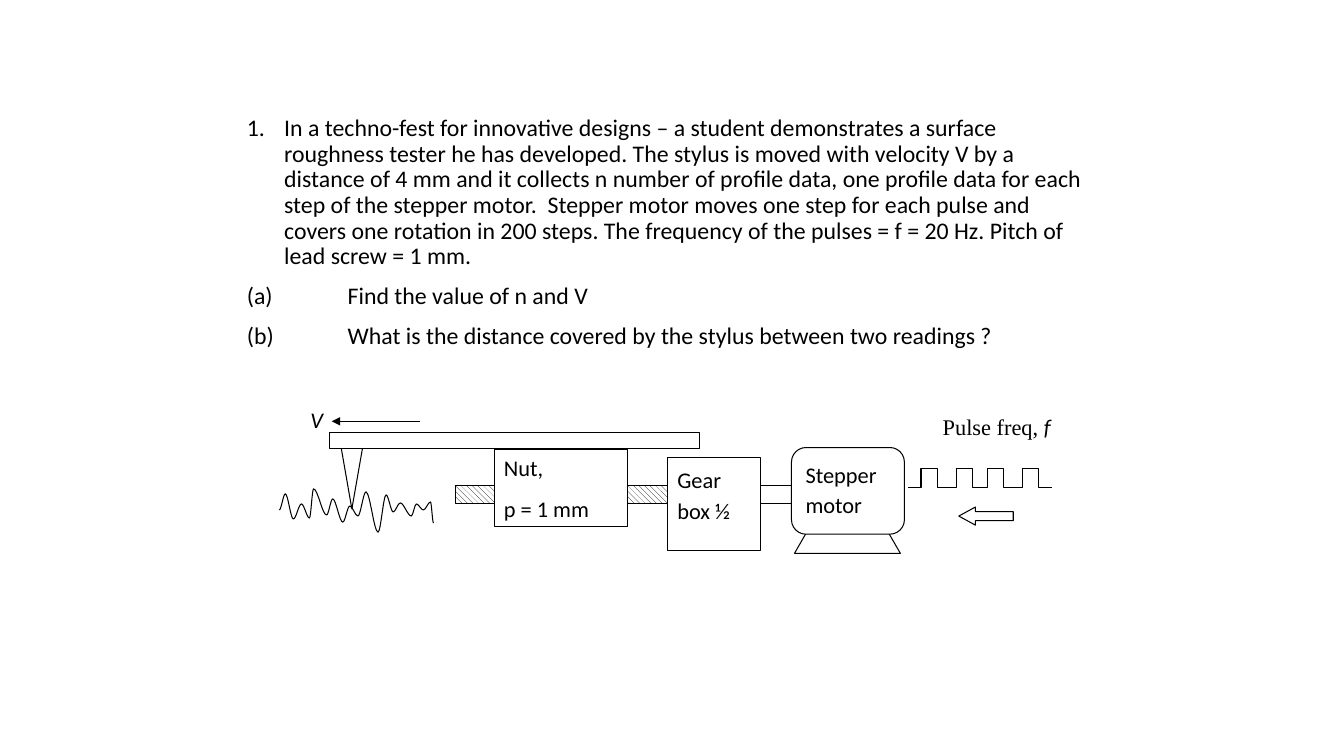
from pptx import Presentation
from pptx.dml.color import RGBColor
from pptx.enum.dml import MSO_PATTERN
from pptx.enum.shapes import MSO_CONNECTOR, MSO_SHAPE
from pptx.enum.text import MSO_ANCHOR, PP_ALIGN
from pptx.oxml.ns import qn
from pptx.util import Inches, Pt
from lxml.etree import SubElement

BLACK = RGBColor(0, 0, 0)
WHITE = RGBColor(255, 255, 255)

QUESTION = (
    "1.\tIn a techno-fest for innovative designs – a student demonstrates a surface "
    "roughness tester he has developed. The stylus is moved with velocity V by a "
    "distance of 4 mm and it collects n number of profile data, one profile data for "
    "each step of the stepper motor.  Stepper motor moves one step for each pulse and "
    "covers one rotation in 200 steps. The frequency of the pulses = f = 20 Hz. "
    "Pitch of lead screw = 1 mm."
)
PARTS = [
    "(a)\tFind the value of n and V",
    "(b)\tWhat is the distance covered by the stylus between two readings ?",
]
PROFILE = [
    (0, 1.07), (0.06, 0.91), (0.14, 1.16), (0.22, 1.01), (0.3, 1.15), (0.34, 0.86),
    (0.47, 1.12), (0.53, 0.96), (0.63, 1.19), (0.7, 1.03), (0.78, 1.13), (0.86, 0.89),
    (0.98, 1.29), (1.06, 0.92), (1.13, 1.09), (1.2, 1), (1.31, 1.13), (1.36, 1.01),
    (1.43, 1.07), (1.5, 0.99), (1.53, 1.2),
]
PULSE_STARTS = [6.24, 6.59, 6.9, 7.25]


def add_run(p, text, size, font="Calibri", italic=False):
    r = p.add_run()
    r.text = text
    r.font.size = Pt(size)
    r.font.name = font
    r.font.italic = italic
    r.font.color.rgb = BLACK


def outline(sp):
    sp.line.color.rgb = BLACK
    sp.line.width = Pt(0.75)


def add_box(shapes, kind, left, top, width, height, lined=True):
    sp = shapes.add_shape(kind, Inches(left), Inches(top), Inches(width), Inches(height))
    sp.shadow.inherit = False
    sp.fill.solid()
    sp.fill.fore_color.rgb = WHITE
    if lined:
        outline(sp)
    else:
        sp.line.fill.background()
    return sp


def add_label(sp, paragraphs, spacing=1.15, inset=True, align=PP_ALIGN.LEFT):
    tf = sp.text_frame
    tf.word_wrap = True
    tf.vertical_anchor = MSO_ANCHOR.TOP
    if not inset:
        tf.margin_left = tf.margin_right = tf.margin_top = tf.margin_bottom = 0
    for i, runs in enumerate(paragraphs):
        p = tf.add_paragraph() if i else tf.paragraphs[0]
        p.alignment = align
        p.line_spacing = spacing
        p.space_after = Pt(10)
        for text, font, italic in runs:
            add_run(p, text, 16, font, italic)


def add_line(shapes, kind, x1, y1, x2, y2):
    line = shapes.add_connector(kind, Inches(x1), Inches(y1), Inches(x2), Inches(y2))
    outline(line)
    SubElement(line._element.spPr, qn("a:effectLst"))
    return line


def add_outline(shapes, points, close):
    pts = [(Inches(x), Inches(y)) for x, y in points]
    builder = shapes.build_freeform(*pts[0])
    builder.add_line_segments(pts[1:], close=close)
    sp = builder.convert_to_shape()
    sp.shadow.inherit = False
    outline(sp)
    return sp


def add_profile(shapes, x, y):
    knots = [(x + dx, y + dy) for dx, dy in PROFILE]
    points = knots[:1]
    for (x1, y1), (x2, y2) in zip(knots, knots[1:]):
        third = (x2 - x1) / 3
        points += [(x1 + third, y1), (x2 - third, y2), (x2, y2)]
    sp = add_outline(shapes, points, False)
    sp.fill.background()
    segments = list(sp._element.spPr.iter(qn("a:lnTo")))
    for i in range(0, len(segments), 3):
        curve = segments[i]
        curve.tag = qn("a:cubicBezTo")
        for extra in segments[i + 1:i + 3]:
            curve.append(extra[0])
            extra.getparent().remove(extra)


def add_pulses(shapes, x, y):
    low, high = y + 0.85, y + 0.66
    for start in PULSE_STARTS:
        rise, fall = x + start, x + start + 0.16
        add_line(shapes, MSO_CONNECTOR.ELBOW, rise, low, rise + 0.25, high)
        add_line(shapes, MSO_CONNECTOR.ELBOW, fall, high, fall + 0.25, low)
    arrow = add_box(shapes, MSO_SHAPE.LEFT_ARROW, x + 6.74, y + 1.04, 0.54, 0.18)
    arrow.adjustments[1] = 0.918
    label = add_box(shapes, MSO_SHAPE.RECTANGLE, x + 6.58, y + 0.07, 1.15, 0.46, False)
    add_label(label, [[("Pulse freq, ", "Times New Roman", False), ("f", "Calibri", True)]],
              inset=False, align=PP_ALIGN.JUSTIFY)


def add_drive(shapes, x, y):
    screw = add_box(shapes, MSO_SHAPE.RECTANGLE, x + 1.75, y + 0.83, 3.34, 0.18)
    screw.fill.patterned()
    screw.fill.pattern = MSO_PATTERN.WIDE_DOWNWARD_DIAGONAL
    screw.fill.fore_color.rgb = BLACK
    screw.fill.back_color.rgb = WHITE
    add_box(shapes, MSO_SHAPE.RECTANGLE, x + 4.05, y + 0.83, 1.14, 0.18)
    gear = add_box(shapes, MSO_SHAPE.RECTANGLE, x + 3.85, y + 0.55, 0.92, 0.92)
    add_label(gear, [[("Gear box ½", "Calibri", False)]])
    base = [(5.11, 1.5), (5.26, 1.24), (6.01, 1.24), (6.16, 1.5)]
    stand = add_outline(shapes, [(x + dx, y + dy) for dx, dy in base], True)
    stand.fill.solid()
    stand.fill.fore_color.rgb = WHITE
    motor = add_box(shapes, MSO_SHAPE.ROUNDED_RECTANGLE, x + 5.08, y + 0.45, 1.12, 0.86)
    add_label(motor, [[("Stepper motor", "Calibri", False)]])


def add_stylus(shapes, x, y):
    label = add_box(shapes, MSO_SHAPE.RECTANGLE, x + 0.31, y, 0.33, 0.41, False)
    add_label(label, [[("V", "Calibri", True)]], inset=False)
    arrow = add_line(shapes, MSO_CONNECTOR.STRAIGHT, x + 1.4, y + 0.19, x + 0.52, y + 0.19)
    SubElement(arrow.line._get_or_add_ln(), qn("a:tailEnd"), type="triangle")
    tip = add_box(shapes, MSO_SHAPE.ISOSCELES_TRIANGLE, x + 0.61, y + 0.43, 0.22, 0.63)
    tip._element.spPr.xfrm.set("flipV", "1")
    add_box(shapes, MSO_SHAPE.RECTANGLE, x + 0.5, y + 0.3, 3.67, 0.16)
    nut = add_box(shapes, MSO_SHAPE.RECTANGLE, x + 2.13, y + 0.47, 1.32, 0.76)
    add_label(nut, [[("Nut,", "Calibri", False)], [("p = 1 mm", "Calibri", False)]], 1)
    add_profile(shapes, x, y)


def add_diagram(s, x, y):
    shapes = s.shapes.add_group_shape().shapes
    add_drive(shapes, x, y)
    add_pulses(shapes, x, y)
    add_stylus(shapes, x, y)


def add_question(s, x, y, width, height):
    tf = s.shapes.add_textbox(Inches(x), Inches(y), Inches(width), Inches(height)).text_frame
    tf.word_wrap = True
    for i, text in enumerate([QUESTION] + PARTS):
        p = tf.add_paragraph() if i else tf.paragraphs[0]
        p.line_spacing = 0.9
        p.space_before = Pt(10)
        add_run(p, text, 17)
        pPr = p._p.get_or_add_pPr()
        if i:
            tabs = SubElement(pPr, qn("a:tabLst"))
            SubElement(tabs, qn("a:tab"), pos=str(Inches(1)), algn="l")
        else:
            pPr.set("marL", str(Inches(0.37)))
            pPr.set("indent", str(-Inches(0.37)))


def main():
    prs = Presentation()
    prs.slide_width = Inches(13.33)
    prs.slide_height = Inches(7.5)
    s = prs.slides.add_slide(prs.slide_layouts[6])
    add_question(s, 2.35, 1.1, 8.62, 2.67)
    add_diagram(s, 2.77, 3.99)
    prs.save("out.pptx")


if __name__ == "__main__":
    main()
